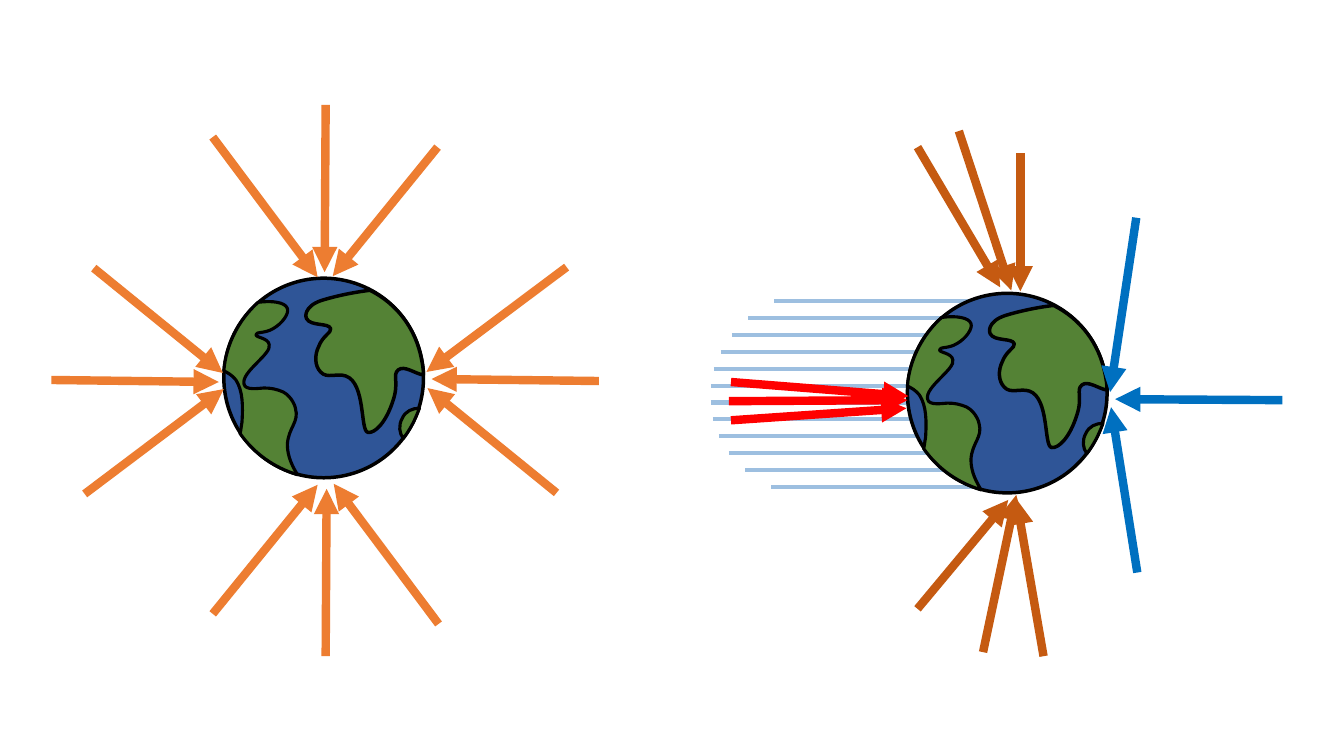
from lxml import etree
from pptx import Presentation
from pptx.dml.color import RGBColor
from pptx.enum.shapes import MSO_CONNECTOR, MSO_SHAPE
from pptx.oxml.ns import qn
from pptx.util import Inches, Pt

STRAIGHT = MSO_CONNECTOR.STRAIGHT
OVAL = MSO_SHAPE.OVAL


class Theme:
    ocean = "2F5597"
    land = "548235"
    outline = "000000"
    motion = "9DBFE0"
    even = "ED7D31"
    side = "C55A11"
    behind = "FF0000"
    ahead = "0070C0"
    motion_width = 3
    arrow_width = 6
    ocean_outline = 2.5


# Globe: centre of the left one, radius, and shift to the right one
CENTER = (3.21, 3.75)
RADIUS = 0.99
MOVING_SHIFT = (6.78, 0.15)

# Land: outline width, start point, then cubic curves (two controls and an end)
LANDS = [
    (2.25, (2.38, 4.3), [
        (2.52, 4.5, 2.72, 4.64, 2.95, 4.71), (2.91, 4.64, 2.85, 4.54, 2.85, 4.41),
        (2.86, 4.24, 2.97, 4.19, 2.93, 4.05), (2.93, 4.04, 2.9, 3.94, 2.81, 3.89),
        (2.74, 3.86, 2.69, 3.85, 2.62, 3.85), (2.58, 3.85, 2.43, 3.88, 2.42, 3.81),
        (2.39, 3.69, 2.7, 3.51, 2.67, 3.42), (2.66, 3.35, 2.53, 3.35, 2.54, 3.32),
        (2.54, 3.29, 2.63, 3.31, 2.71, 3.26), (2.8, 3.21, 2.87, 3.11, 2.85, 3.06),
        (2.83, 3, 2.7, 2.98, 2.56, 3), (2.37, 3.17, 2.24, 3.42, 2.22, 3.68),
        (2.26, 3.7, 2.3, 3.72, 2.34, 3.77), (2.41, 3.88, 2.41, 4.03, 2.4, 4.19),
        (2.39, 4.24, 2.39, 4.28, 2.38, 4.3)]),
    (2.5, (4.18, 3.56), [
        (4.12, 3.25, 3.93, 3.01, 3.67, 2.88), (3.5, 2.9, 3.32, 2.94, 3.19, 2.98),
        (3.01, 3.04, 3.03, 3.15, 3.04, 3.16), (3.08, 3.24, 3.26, 3.2, 3.28, 3.26),
        (3.29, 3.3, 3.2, 3.33, 3.16, 3.44), (3.12, 3.52, 3.12, 3.63, 3.18, 3.69),
        (3.24, 3.76, 3.34, 3.7, 3.43, 3.73), (3.63, 3.8, 3.57, 4.28, 3.65, 4.29),
        (3.72, 4.3, 3.83, 4.19, 3.9, 3.97), (3.96, 3.79, 3.89, 3.72, 3.95, 3.67),
        (4.01, 3.62, 4.12, 3.71, 4.2, 3.72), (4.2, 3.66, 4.19, 3.61, 4.18, 3.56)]),
    (2.25, (3.99, 4.15), [
        (3.95, 4.22, 3.96, 4.3, 4, 4.35), (4.07, 4.26, 4.12, 4.16, 4.16, 4.05),
        (4.09, 4.05, 4.02, 4.08, 3.99, 4.15)]),
]

# Motion lines: left ends from top to bottom, evenly spaced
MOTION_LEFTS = [7.68, 7.42, 7.26, 7.15, 7.08, 7.05, 7.05, 7.07, 7.13, 7.23, 7.39, 7.65]
MOTION_TOP, MOTION_BOTTOM, MOTION_LENGTH = 2.99, 4.83, 2.16

# Arrows by colour: start x, start y, tip x, tip y
ARROWS = [
    (Theme.even, [
        (0.93, 2.66, 2.21, 3.7), (0.84, 4.9, 2.22, 3.86), (0.51, 3.77, 2.17, 3.79),
        (2.11, 6.09, 3.15, 4.81), (4.35, 6.19, 3.31, 4.8), (3.23, 6.51, 3.24, 4.85),
        (4.34, 1.46, 3.3, 2.74), (2.11, 1.36, 3.15, 2.75), (3.23, 1.04, 3.22, 2.7),
        (5.52, 4.89, 4.24, 3.85), (5.62, 2.65, 4.23, 3.69), (5.94, 3.78, 4.28, 3.76)]),
    (Theme.side, [
        (10.35, 6.51, 10.08, 4.95), (9.75, 6.47, 10.08, 4.91), (9.1, 6.04, 10, 4.96),
        (9.51, 1.3, 10.03, 2.88), (9.1, 1.46, 9.92, 2.85), (10.12, 1.52, 10.12, 2.89)]),
    (Theme.behind, [
        (7.25, 3.79, 9.01, 3.93), (7.25, 4.17, 8.99, 4.05), (7.23, 3.98, 9, 3.97)]),
    (Theme.ahead, [
        (11.28, 5.68, 11.02, 4.04), (11.27, 2.16, 11.01, 3.89), (12.72, 3.97, 11.06, 3.96)]),
]


def add_line(shapes, ends, color, width, arrow=False):
    line = shapes.add_connector(STRAIGHT, *[Inches(value) for value in ends])
    line.line.color.rgb = RGBColor.from_string(color)
    line.line.width = Pt(width)
    if arrow:
        etree.SubElement(line.line._get_or_add_ln(), qn("a:tailEnd"), type="triangle")
    etree.SubElement(line._element.spPr, qn("a:effectLst"))


def paint(shape, fill, width):
    shape.shadow.inherit = False
    shape.fill.solid()
    shape.fill.fore_color.rgb = RGBColor.from_string(fill)
    shape.line.color.rgb = RGBColor.from_string(Theme.outline)
    shape.line.width = Pt(width)


def bend(shape):
    """Turn each three straight segments into one cubic curve."""
    segments = list(shape._element.iter(qn("a:lnTo")))
    for first in range(0, len(segments), 3):
        curve = etree.Element(qn("a:cubicBezTo"))
        segments[first].addprevious(curve)
        for segment in segments[first:first + 3]:
            curve.append(segment[0])
            segment.getparent().remove(segment)


def add_globe(page, shift_x, shift_y):
    globe = page.shapes.add_group_shape().shapes
    ocean = globe.add_shape(OVAL, Inches(CENTER[0] + shift_x - RADIUS),
                            Inches(CENTER[1] + shift_y - RADIUS),
                            Inches(2 * RADIUS), Inches(2 * RADIUS))
    paint(ocean, Theme.ocean, Theme.ocean_outline)
    for width, start, curves in LANDS:
        corners = [start] + [curve[i:i + 2] for curve in curves for i in (0, 2, 4)]
        points = [(Inches(x + shift_x), Inches(y + shift_y)) for x, y in corners]
        builder = globe.build_freeform(*points[0])
        builder.add_line_segments(points[1:], close=True)
        land = builder.convert_to_shape()
        bend(land)
        paint(land, Theme.land, width)


def main():
    deck = Presentation()
    deck.slide_width, deck.slide_height = Inches(13.33), Inches(7.5)
    page = deck.slides.add_slide(deck.slide_layouts[6])

    # Motion lines behind the moving globe
    motion = page.shapes.add_group_shape().shapes
    gap = (MOTION_BOTTOM - MOTION_TOP) / (len(MOTION_LEFTS) - 1)
    for row, left in enumerate(MOTION_LEFTS):
        y = MOTION_TOP + row * gap
        add_line(motion, (left, y, left + MOTION_LENGTH, y), Theme.motion, Theme.motion_width)

    # Globe at rest and moving globe
    add_globe(page, 0, 0)
    add_globe(page, *MOVING_SHIFT)

    # Incoming arrows
    for color, arrows in ARROWS:
        for ends in arrows:
            add_line(page.shapes, ends, color, Theme.arrow_width, arrow=True)

    deck.save("out.pptx")


if __name__ == "__main__":
    main()
